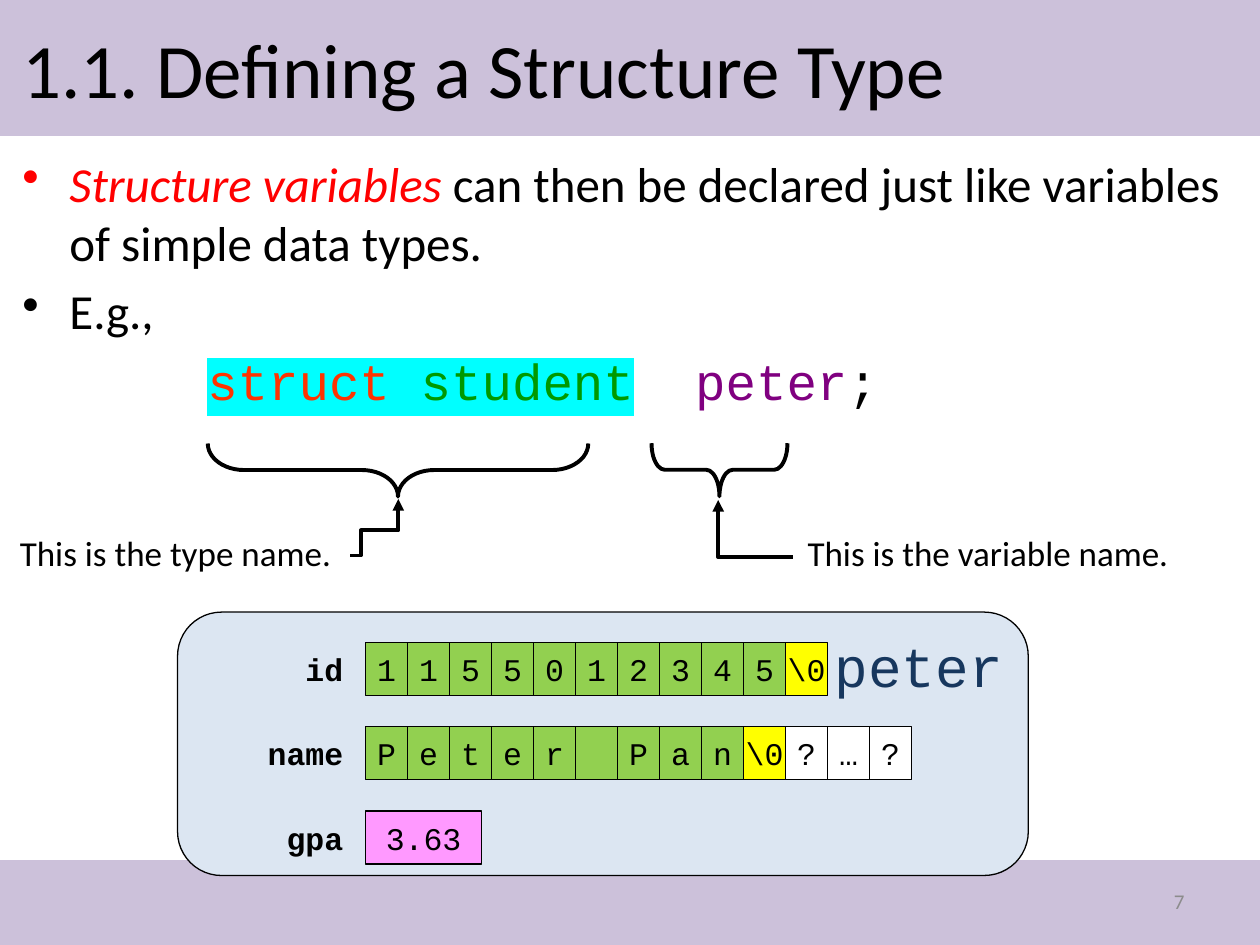
from lxml import etree
from pptx import Presentation
from pptx.dml.color import RGBColor
from pptx.enum.shapes import MSO_CONNECTOR, MSO_SHAPE
from pptx.enum.text import MSO_ANCHOR, PP_ALIGN
from pptx.oxml.ns import qn
from pptx.util import Cm, Pt

RECTANGLE = MSO_SHAPE.RECTANGLE
ROUNDED = MSO_SHAPE.ROUNDED_RECTANGLE
BRACE = MSO_SHAPE.LEFT_BRACE
ELBOW = MSO_CONNECTOR.ELBOW
LEFT, CENTER, RIGHT = PP_ALIGN.LEFT, PP_ALIGN.CENTER, PP_ALIGN.RIGHT
TOP, MIDDLE = MSO_ANCHOR.TOP, MSO_ANCHOR.MIDDLE
SANS, MONO = "Calibri", "Courier New"
BLACK, RED, ORANGE, PURPLE = "000000", "FF0000", "FF3300", "800080"
LAVENDER, GREEN, YELLOW, WHITE, PINK = "CCC1DA", "92D050", "FFFF00", "FFFFFF", "FF99FF"
color = RGBColor.from_string

deck = Presentation()
deck.slide_width, deck.slide_height = Cm(25.4), Cm(19.05)
page = deck.slides.add_slide(deck.slide_layouts[6])


def add_shape(kind, left, top, width, height, fill=None, line=None, weight=0.75):
    shape = page.shapes.add_shape(kind, Cm(left), Cm(top), Cm(width), Cm(height))
    shape.shadow.inherit = False
    if fill:
        shape.fill.solid()
        shape.fill.fore_color.rgb = color(fill)
    else:
        shape.fill.background()
    if line:
        shape.line.color.rgb = color(line)
        shape.line.width = Pt(weight)
    else:
        shape.line.fill.background()
    return shape


def write(shape, text, size, font=SANS, ink=BLACK, align=LEFT, anchor=MIDDLE, bold=False):
    """Put one unwrapped line of text into a shape or text box."""
    frame = shape.text_frame
    frame.text = text
    frame.word_wrap = False
    frame.vertical_anchor = anchor
    para = frame.paragraphs[0]
    para.alignment = align
    for span in para.runs:
        span.font.size, span.font.name, span.font.bold = Pt(size), font, bold
        span.font.color.rgb = color(ink)


# Bands and title
add_shape(RECTANGLE, 0, 0, 25.4, 2.74, LAVENDER)
add_shape(RECTANGLE, 0, 17.34, 25.4, 1.71, LAVENDER)
title = page.shapes.add_textbox(Cm(0.2), Cm(0.2), Cm(25), Cm(2.34))
write(title, "1.1. Defining a Structure Type", 44)

# Body: margin, first-line indent, bullet, size, font, spans of (text, colour, highlight)
body = page.shapes.add_textbox(Cm(0.2), Cm(2.97), Cm(24.82), Cm(14.17))
body.text_frame.word_wrap = True
body_paragraphs = [
    (0.95, -0.95, "•", 28, SANS, [
        ("Structure variables", RED, None),
        (" can then be declared just like variables of simple data types.", BLACK, None)]),
    (0.95, -0.95, "•", 28, SANS, [("E.g.,", BLACK, None)]),
    (2.06, -0.79, None, 29, MONO, [
        ("    ", ORANGE, None), ("struct ", ORANGE, "00FFFF"), ("student", "009900", "00FFFF"),
        ("  ", ORANGE, None), ("peter", PURPLE, None), (";", BLACK, None)]),
]
for index, (margin, indent, bullet, size, font, spans) in enumerate(body_paragraphs):
    para = body.text_frame.add_paragraph() if index else body.text_frame.paragraphs[0]
    properties = para._p.get_or_add_pPr()
    properties.set("marL", str(Cm(margin)))
    properties.set("indent", str(Cm(indent)))
    if bullet:
        etree.SubElement(properties, qn("a:buChar"), char=bullet)
    if index:
        para.space_before = Pt(5.6)
    for text, ink, highlight in spans:
        span = para.add_run()
        span.text = text
        span.font.size, span.font.name = Pt(size), font
        span.font.italic = ink == RED
        span.font.color.rgb = color(ink)
        if highlight:
            mark = etree.Element(qn("a:highlight"))
            etree.SubElement(mark, qn("a:srgbClr"), val=highlight)
            span._r.rPr.find(qn("a:solidFill")).addnext(mark)

# Contents of the variable
panel = add_shape(ROUNDED, 3.58, 12.34, 17.15, 5.31, "DCE6F2", BLACK)
write(panel, "peter", 32, MONO, "17375E", RIGHT, TOP)

CELL, CELL_HEIGHT = 2.54 / 3, 1.07
FIELD_LEFT, FIELD_TOP, FIELD_PITCH = 7.37, 12.95, 1.7
fields = [
    ("id", [*"1155012345", "\\0"], CELL),
    ("name", [*"Peter Pan", "\\0", "?", "…", "?"], CELL),
    ("gpa", ["3.63"], 2.34),
]
special_fills = {"\\0": YELLOW, "?": WHITE, "…": WHITE, "3.63": PINK}
for row, (name, values, width) in enumerate(fields):
    top = FIELD_TOP + row * FIELD_PITCH
    label = page.shapes.add_textbox(Cm(4.83), Cm(top), Cm(2.34), Cm(CELL_HEIGHT))
    write(label, name, 18, MONO, align=RIGHT, bold=True)
    for column, value in enumerate(values):
        cell = add_shape(RECTANGLE, FIELD_LEFT + column * width, top, width, CELL_HEIGHT,
                         special_fills.get(value, GREEN), BLACK)
        if value != " ":
            write(cell, value, 18, MONO, align=CENTER)

# Braces under the declaration, turned so that they point down
for left, top, height, curve in [(7.49, 5.64, 7.67, 0.68), (13.97, 8.1, 2.74, 0.25)]:
    brace = add_shape(BRACE, left, top, 1.07, height, line=BLACK, weight=2.25)
    brace.rotation = 270
    brace.adjustments[0] = curve

for left, text in [(0.15, "This is the type name."), (16.03, "This is the variable name.")]:
    note = page.shapes.add_textbox(Cm(left), Cm(10.59), Cm(7.87), Cm(1.12))
    write(note, text, 20, anchor=TOP)

# Elbow arrows from the notes to the braces
arrows = [
    ((15.98, 11.23), (14.48, 10.08), "bentConnector2", []),
    ((7.06, 11.2), (8.03, 10.06), "bentConnector4", [22400, 44400]),
]
for start, end, preset, bends in arrows:
    arrow = page.shapes.add_connector(ELBOW, *map(Cm, start + end))
    arrow.line.color.rgb = color(BLACK)
    arrow.line.width = Pt(2.25)
    etree.SubElement(arrow.line._get_or_add_ln(), qn("a:tailEnd"), type="triangle")
    properties = arrow._element.spPr
    etree.SubElement(properties, qn("a:effectLst"))
    geometry = properties.find(qn("a:prstGeom"))
    geometry.set("prst", preset)
    for number, bend in enumerate(bends, 1):
        etree.SubElement(geometry.find(qn("a:avLst")), qn("a:gd"),
                         name=f"adj{number}", fmla=f"val {bend}")

page_number = page.shapes.add_textbox(Cm(18.21), Cm(17.65), Cm(5.92), Cm(1.02))
write(page_number, "7", 12, ink="8C8C8C", align=RIGHT)

deck.save("out.pptx")
